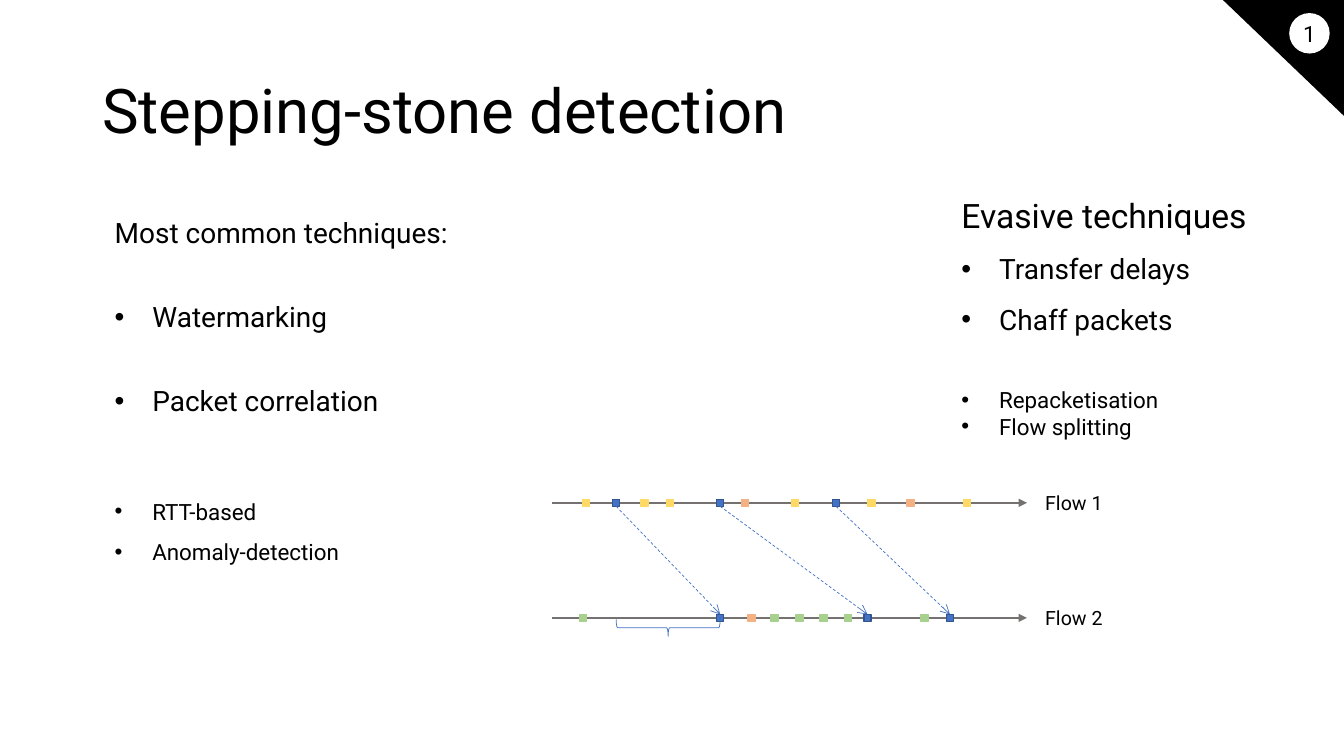
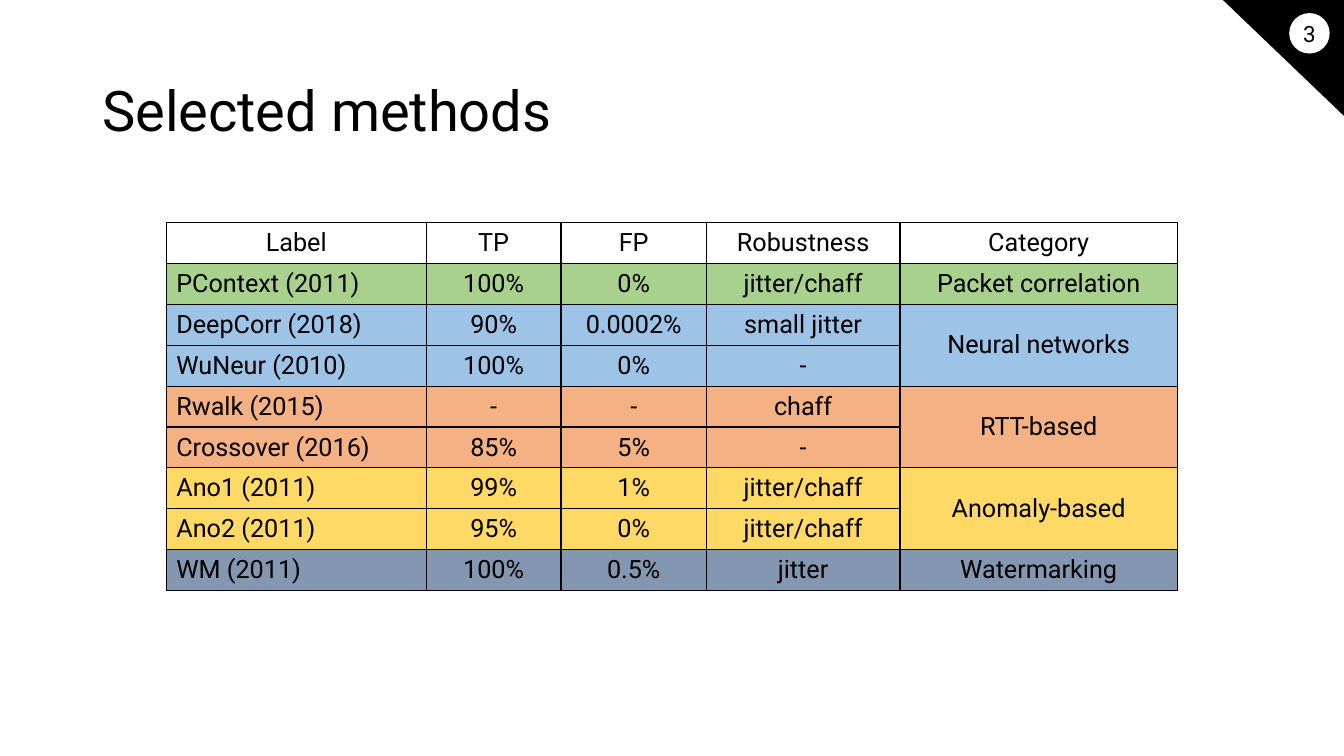
from itertools import product

from lxml.etree import SubElement
from pptx import Presentation
from pptx.dml.color import RGBColor
from pptx.enum.dml import MSO_LINE
from pptx.enum.shapes import MSO_CONNECTOR, MSO_SHAPE
from pptx.enum.text import MSO_ANCHOR, PP_ALIGN
from pptx.oxml.ns import qn
from pptx.util import Cm, Pt

FONT = "Roboto"
BLACK = RGBColor(0x00, 0x00, 0x00)
WHITE = RGBColor(0xFF, 0xFF, 0xFF)
GRAY = RGBColor(0x76, 0x71, 0x71)
BLUE = RGBColor(0x44, 0x72, 0xC4)
DARK_BLUE = RGBColor(0x32, 0x54, 0x91)
LIGHT_BLUE = RGBColor(0x9D, 0xC3, 0xE6)
GREEN = RGBColor(0xA9, 0xD1, 0x8E)
ORANGE = RGBColor(0xF4, 0xB1, 0x83)
YELLOW = RGBColor(0xFF, 0xD9, 0x66)
SLATE = RGBColor(0x84, 0x97, 0xB0)

SLIDE_WIDTH, SLIDE_HEIGHT = 33.87, 19.05
PACKET_SIZE = 0.18
BULLET_INDENT = Cm(0.95)


def write(frame, text, size=16, align=PP_ALIGN.LEFT, spacing=1.0, before=0, bullet=False):
    """Add one paragraph, using the frame's first paragraph while it is empty."""
    paragraph = frame.paragraphs[0]
    if paragraph.runs:
        paragraph = frame.add_paragraph()
    paragraph.alignment = align
    paragraph.line_spacing = spacing
    paragraph.space_before = Pt(before)
    if bullet:
        properties = paragraph._p.get_or_add_pPr()
        properties.set("marL", str(BULLET_INDENT))
        properties.set("indent", str(-BULLET_INDENT))
        SubElement(properties, qn("a:buFont"), typeface="Arial")
        SubElement(properties, qn("a:buChar"), char="•")
    run = paragraph.add_run()
    run.text = text
    run.font.name = FONT
    run.font.size = Pt(size)
    run.font.bold = False
    run.font.color.rgb = BLACK


def draw_borders(cell):
    properties = cell._tc.get_or_add_tcPr()
    for index, side in enumerate(("a:lnL", "a:lnR", "a:lnT", "a:lnB")):
        border = SubElement(properties, qn(side), w=str(Pt(1)))
        fill = SubElement(border, qn("a:solidFill"))
        SubElement(fill, qn("a:srgbClr"), val=str(BLACK))
        properties.insert(index, border)


class Deck:
    """Holds the presentation, its shared style and the current slide."""

    def __init__(self):
        self.presentation = Presentation()
        self.presentation.slide_width = Cm(SLIDE_WIDTH)
        self.presentation.slide_height = Cm(SLIDE_HEIGHT)
        self.slide = None

    def add_slide(self, title, number, title_size):
        self.slide = self.presentation.slides.add_slide(self.presentation.slide_layouts[6])
        frame = self.add_text(2.33, 1.02, 27, 3.68, anchor=MSO_ANCHOR.MIDDLE)
        write(frame, title, size=title_size, spacing=0.9)
        self.add_page_corner(number)

    def add_page_corner(self, number):
        side, base = 2.92, 3.05
        corner = self.add_shape(
            MSO_SHAPE.ISOSCELES_TRIANGLE,
            SLIDE_WIDTH - (side + base) / 2, (side - base) / 2, side, base, fill=BLACK,
        )
        corner.adjustments[0] = 1
        corner.rotation = 270
        badge = self.add_shape(MSO_SHAPE.OVAL, 32.49, 0.33, 1.02, 1.02, fill=WHITE)
        frame = badge.text_frame
        frame.margin_left = frame.margin_right = frame.margin_top = frame.margin_bottom = 0
        frame.vertical_anchor = MSO_ANCHOR.MIDDLE
        write(frame, str(number), align=PP_ALIGN.CENTER)

    def add_text(self, left, top, width, height, anchor=MSO_ANCHOR.TOP, wrap=True):
        box = self.slide.shapes.add_textbox(Cm(left), Cm(top), Cm(width), Cm(height))
        box.text_frame.word_wrap = wrap
        box.text_frame.vertical_anchor = anchor
        return box.text_frame

    def add_shape(self, kind, left, top, width, height, fill=None, line=None, line_width=1):
        shape = self.slide.shapes.add_shape(kind, Cm(left), Cm(top), Cm(width), Cm(height))
        shape.shadow.inherit = False
        if fill is None:
            shape.fill.background()
        else:
            shape.fill.solid()
            shape.fill.fore_color.rgb = fill
        if line is None:
            shape.line.fill.background()
        else:
            shape.line.color.rgb = line
            shape.line.width = Pt(line_width)
        return shape

    def add_arrow(self, start, end, color, width, head, dash=None):
        points = [Cm(value) for value in (*start, *end)]
        connector = self.slide.shapes.add_connector(MSO_CONNECTOR.STRAIGHT, *points)
        connector.line.color.rgb = color
        connector.line.width = Pt(width)
        if dash:
            connector.line.dash_style = dash
        properties = connector._element.spPr
        SubElement(properties.find(qn("a:ln")), qn("a:tailEnd"), type=head)
        SubElement(properties, qn("a:effectLst"))
        return connector

    def add_flow(self, label, center_y, packets):
        """Draw a timeline with packets; return the blue ones, in order."""
        self.add_arrow((13.92, center_y), (25.88, center_y), GRAY, 1, "triangle")
        write(self.add_text(26.09, center_y - 0.42, 1.98, 0.86, wrap=False), label, size=14)
        half = PACKET_SIZE / 2
        shapes = {
            color: [
                self.add_shape(
                    MSO_SHAPE.RECTANGLE, x - half, center_y - half, PACKET_SIZE, PACKET_SIZE,
                    fill=color, line=DARK_BLUE if color == BLUE else color,
                )
                for x in centers
            ]
            for color, centers in packets.items()
        }
        return shapes[BLUE]

    def link_packets(self, source, target):
        connector = self.add_arrow((0, 0), (1, 1), BLUE, 0.5, "arrow", MSO_LINE.DASH)
        connector.begin_connect(source, 2)
        connector.end_connect(target, 0)

    def add_brace_below(self, left, right, center_y, depth):
        length = right - left
        brace = self.add_shape(
            MSO_SHAPE.LEFT_BRACE, (left + right - depth) / 2, center_y - length / 2,
            depth, length, line=BLUE, line_width=0.5,
        )
        brace.rotation = 270

    def add_table(self, left, top, column_widths, row_height, rows, fills):
        """Draw rows of text; None joins a cell to the one above it."""
        table = self.slide.shapes.add_table(
            len(rows), len(column_widths), Cm(left), Cm(top),
            Cm(sum(column_widths)), Cm(row_height * len(rows)),
        ).table
        table.first_row = table.horz_banding = False
        for column, width in zip(table.columns, column_widths):
            column.width = Cm(width)
        for row in table.rows:
            row.height = Cm(row_height)
        for row, column in product(range(len(rows)), range(len(column_widths))):
            cell = table.cell(row, column)
            cell.fill.solid()
            cell.fill.fore_color.rgb = fills[row]
            draw_borders(cell)
            text = rows[row][column]
            if text is None:
                table.cell(row - 1, column).merge(cell)
                continue
            cell.vertical_anchor = MSO_ANCHOR.MIDDLE
            left_aligned = row > 0 and column == 0
            write(cell.text_frame, text, size=18,
                  align=PP_ALIGN.LEFT if left_aligned else PP_ALIGN.CENTER)


def build_detection_slide(deck):
    deck.add_slide("Stepping-stone detection", 1, title_size=44)

    techniques = deck.add_text(2.64, 4.04, 14.53, 15)
    write(techniques, "Most common techniques:", size=20, spacing=2.5)
    for text in ("Watermarking", "Packet correlation"):
        write(techniques, text, size=20, spacing=2.5, bullet=True)
    write(techniques, "RTT-based", spacing=1.5, before=48, bullet=True)
    write(techniques, "Anomaly-detection", spacing=1.5, bullet=True)

    evasion = deck.add_text(23.98, 4.27, 9.04, 8.13)
    write(evasion, "Evasive techniques", size=24, spacing=1.5)
    for text in ("Transfer delays", "Chaff packets"):
        write(evasion, text, size=20, spacing=1.5, bullet=True)
    write(evasion, "Repacketisation", before=36, bullet=True)
    write(evasion, "Flow splitting", bullet=True)

    sent_x, received_x = 15.53, 18.15
    sent = deck.add_flow("Flow 1", 12.67, {
        BLUE: (sent_x, 18.15, 21.07),
        ORANGE: (18.78, 22.95),
        YELLOW: (14.77, 16.24, 16.88, 20.03, 21.96, 24.37),
    })
    received = deck.add_flow("Flow 2", 15.57, {
        BLUE: (received_x, 21.86, 23.94),
        ORANGE: (18.94,),
        GREEN: (14.69, 19.52, 20.15, 20.76, 21.37, 23.3),
    })
    for source, target in zip(sent, received):
        deck.link_packets(source, target)
    deck.add_brace_below(sent_x, received_x, center_y=15.82, depth=0.43)


def build_methods_slide(deck):
    deck.add_slide("Selected methods", 3, title_size=40)
    rows = [
        ("Label", "TP", "FP", "Robustness", "Category"),
        ("PContext (2011)", "100%", "0%", "jitter/chaff", "Packet correlation"),
        ("DeepCorr (2018)", "90%", "0.0002%", "small jitter", "Neural networks"),
        ("WuNeur (2010)", "100%", "0%", "-", None),
        ("Rwalk (2015)", "-", "-", "chaff", "RTT-based"),
        ("Crossover (2016)", "85%", "5%", "-", None),
        ("Ano1 (2011)", "99%", "1%", "jitter/chaff", "Anomaly-based"),
        ("Ano2 (2011)", "95%", "0%", "jitter/chaff", None),
        ("WM (2011)", "100%", "0.5%", "jitter", "Watermarking"),
    ]
    fills = [WHITE, GREEN, *[LIGHT_BLUE] * 2, *[ORANGE] * 2, *[YELLOW] * 2, SLATE]
    deck.add_table(4.19, 5.61, (6.55, 3.4, 3.66, 4.88, 6.99), 1.03, rows, fills)


def main():
    deck = Deck()
    build_detection_slide(deck)
    build_methods_slide(deck)
    deck.presentation.save("out.pptx")


if __name__ == "__main__":
    main()
